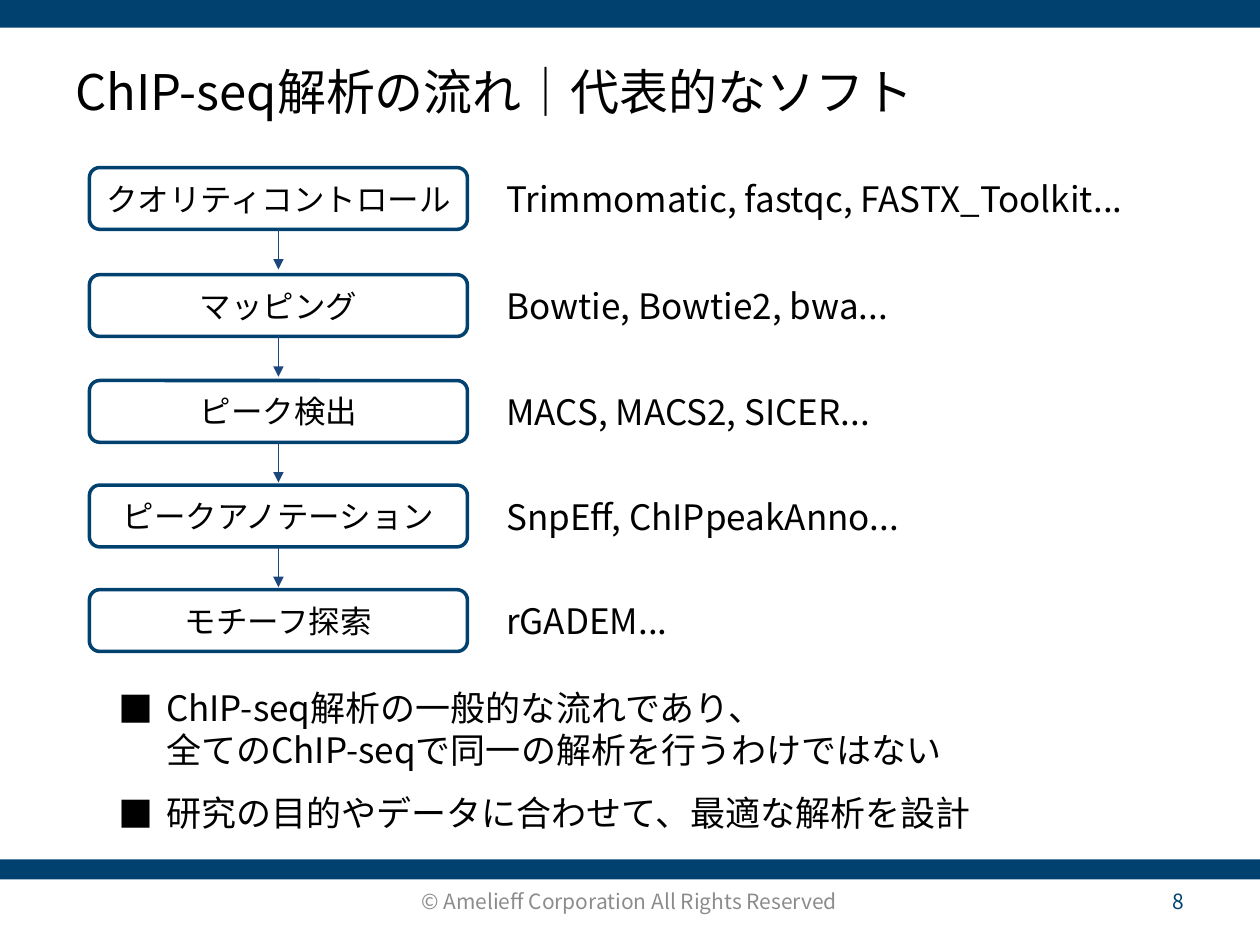
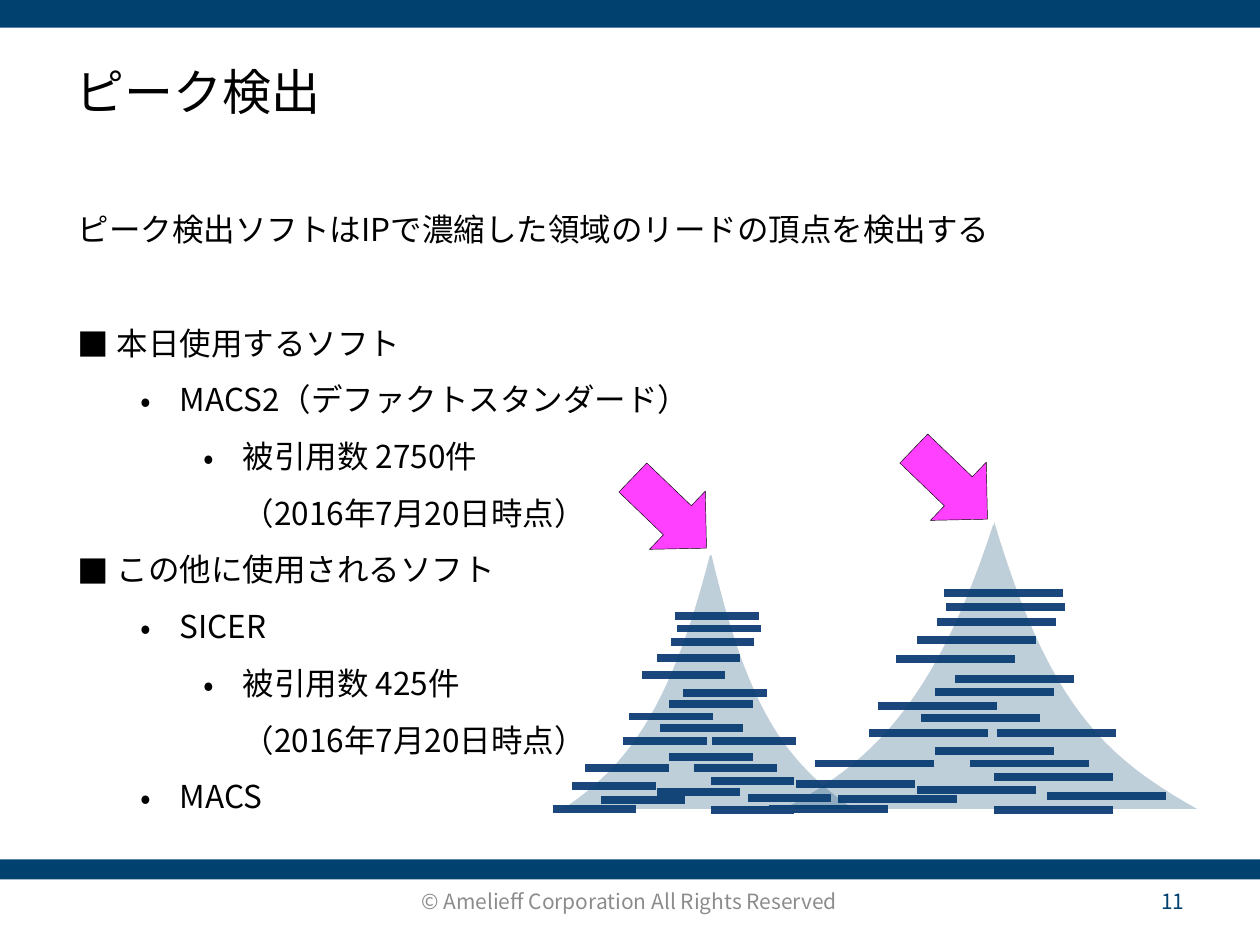
from dataclasses import dataclass

from lxml import etree
from pptx import Presentation
from pptx.dml.color import RGBColor
from pptx.enum import shapes, text
from pptx.oxml.ns import qn
from pptx.util import Pt

EMU_PER_PX = 9144  # 100 px to the inch


# Theme: colours, font and type sizes
@dataclass(frozen=True)
class Theme:
    font: str = "Noto Sans CJK JP"
    navy: str = "00416F"
    line: str = "1C477D"
    ink: str = "000000"
    grey: str = "8C8C8C"
    white: str = "FFFFFF"
    pink: str = "FF40FF"
    title: int = 28
    large: int = 20
    body: int = 18
    footer: int = 12


THEME = Theme()


@dataclass(frozen=True)
class Box:
    left: float
    top: float
    width: float
    height: float

    def emu(self) -> list[int]:
        return [px(v) for v in (self.left, self.top, self.width, self.height)]


@dataclass(frozen=True)
class Line:
    """One paragraph; a newline in the wording is a line break."""
    wording: str
    bullet: str = ""
    level: int = 0
    indent: int = 0
    hanging: int = 0
    spacing: float = 1.0
    before: float = 0


@dataclass(frozen=True)
class Step:
    name: str
    software: str
    top: int


@dataclass(frozen=True)
class Peak:
    box: Box
    arrow_head: Box
    arrow_halo: Box


def px(value: float) -> int:
    return round(value * EMU_PER_PX)


def rgb(colour: str) -> RGBColor:
    return RGBColor.from_string(colour)


# Text
def add_run(paragraph, wording: str, size: int, colour: str) -> None:
    run = paragraph.add_run()
    run.text = wording
    run.font.size = Pt(size)
    run.font.color.rgb = rgb(colour)
    run.font.name = THEME.font
    etree.SubElement(run.font._element, qn("a:ea"), typeface=THEME.font)


def set_bullet(paragraph, line: Line) -> None:
    properties = paragraph._p.get_or_add_pPr()
    properties.set("marL", str(px(line.indent)))
    properties.set("indent", str(-px(line.hanging)))
    etree.SubElement(properties, qn("a:buFont"), typeface=THEME.font)
    etree.SubElement(properties, qn("a:buChar"), char=line.bullet)


def write(frame, lines: list[Line], size: int, colour: str = THEME.ink,
          align=text.PP_ALIGN.LEFT, anchor=text.MSO_ANCHOR.TOP) -> None:
    frame.vertical_anchor = anchor
    for number, line in enumerate(lines):
        paragraph = frame.add_paragraph() if number else frame.paragraphs[0]
        if line.bullet:
            set_bullet(paragraph, line)
        paragraph.level = line.level
        paragraph.alignment = align
        paragraph.line_spacing = line.spacing
        if line.before:
            paragraph.space_before = Pt(line.before)
        for part, wording in enumerate(line.wording.split("\n")):
            if part:
                paragraph.add_line_break()
            add_run(paragraph, wording, size, colour)


def add_text(slide, box: Box, lines: list[Line], size: int, **style) -> None:
    frame = slide.shapes.add_textbox(*box.emu()).text_frame
    frame.word_wrap = True
    write(frame, lines, size, **style)


# Shapes and lines
def paint(shape, fill: str = "", line: str = "", width: float = 0) -> None:
    shape.shadow.inherit = False
    if fill:
        shape.fill.solid()
        shape.fill.fore_color.rgb = rgb(fill)
    else:
        shape.fill.background()
    if line:
        shape.line.color.rgb = rgb(line)
        shape.line.width = Pt(width)
    else:
        shape.line.fill.background()


def add_shape(slide, kind, box: Box, **style):
    shape = slide.shapes.add_shape(kind, *box.emu())
    paint(shape, **style)
    return shape


def add_line(slide, start: tuple, end: tuple, width: float, arrow: bool = False) -> None:
    connector = slide.shapes.add_connector(
        shapes.MSO_CONNECTOR.STRAIGHT, *map(px, start + end))
    connector.line.color.rgb = rgb(THEME.line)
    connector.line.width = Pt(width)
    if arrow:
        etree.SubElement(connector.line._get_or_add_ln(), qn("a:tailEnd"), type="triangle")
    etree.SubElement(connector._element.spPr, qn("a:effectLst"))


# Frame shared by the slides
def add_slide(presentation, title: str, number: int):
    slide = presentation.slides.add_slide(presentation.slide_layouts[6])
    middle = text.MSO_ANCHOR.MIDDLE
    for band in (Box(0, 682, 1000, 16), Box(0, 0, 1000, 22)):
        add_shape(slide, shapes.MSO_SHAPE.RECTANGLE, band, fill=THEME.navy)
    add_text(slide, Box(287, 695, 425, 40),
             [Line("© Amelieff Corporation All Rights Reserved")], THEME.footer,
             colour=THEME.grey, align=text.PP_ALIGN.CENTER, anchor=middle)
    add_text(slide, Box(717, 695, 233, 40), [Line(str(number))], THEME.footer,
             colour=THEME.navy, align=text.PP_ALIGN.RIGHT, anchor=middle)
    add_text(slide, Box(50, 30, 900, 85), [Line(title)], THEME.title, anchor=middle)
    return slide


# Workflow slide
STEPS = [
    Step("クオリティコントロール", "Trimmomatic, fastqc, FASTX_Toolkit...", 133),
    Step("マッピング", "Bowtie, Bowtie2, bwa...", 218),
    Step("ピーク検出", "MACS, MACS2, SICER...", 302),
    Step("ピークアノテーション", "SnpEff, ChIPpeakAnno...", 385),
    Step("モチーフ探索", "rGADEM...", 468),
]
STEP_LEFT, STEP_WIDTH, STEP_HEIGHT, ARROW_LENGTH = 71, 300, 49, 32


def add_step(slide, step: Step, is_last: bool) -> None:
    box = Box(STEP_LEFT, step.top, STEP_WIDTH, STEP_HEIGHT)
    shape = add_shape(slide, shapes.MSO_SHAPE.ROUNDED_RECTANGLE, box,
                      line=THEME.navy, width=2)
    shape.text_frame.word_wrap = False
    write(shape.text_frame, [Line(step.name)], THEME.body,
          align=text.PP_ALIGN.CENTER, anchor=text.MSO_ANCHOR.MIDDLE)
    add_text(slide, Box(392, step.top + 3, 548, 44), [Line(step.software)], THEME.large)
    if not is_last:
        centre, bottom = STEP_LEFT + STEP_WIDTH / 2, step.top + STEP_HEIGHT
        add_line(slide, (centre, bottom), (centre, bottom + ARROW_LENGTH), 0.75, arrow=True)


def build_workflow(presentation) -> None:
    slide = add_slide(presentation, "ChIP-seq解析の流れ｜代表的なソフト", 8)
    for step in STEPS:
        add_step(slide, step, step is STEPS[-1])
    add_text(slide, Box(84, 540, 833, 128), [
        Line("ChIP-seq解析の一般的な流れであり、\n全てのChIP-seqで同一の解析を行うわけではない",
             "■", 0, 38, 38),
        Line("研究の目的やデータに合わせて、最適な解析を設計", "■", 0, 38, 38, 1.5),
    ], THEME.large)


# Peak slide: one pile of reads, drawn in a 328 x 228 px frame and scaled
PILE_WIDTH, PILE_HEIGHT, READ_LENGTH = 328, 228, 94.5
READS = [
    (89, 109), (75, 146), (120, 135), (68, 168), (109, 156), (120, 182), (148, 192),
    (167, 203), (136, 125), (43, 220), (209, 218), (167, 229), (10, 208), (25, 192),
    (106, 94), (122, 80), (169, 168), (106, 213), (-12, 228), (129, 68), (127, 57),
]
SLOPES = [
    ((0, 228), (66, 193), (120, 147), (167, 0)),
    ((167, 0), (210, 144), (253, 186), (328, 228)),
]
CURVE_STEPS = 24
PEAKS = [
    Peak(Box(622, 414, 328, 228), Box(714, 352, 81, 64), Box(708, 339, 94, 90)),
    Peak(Box(447, 438, 230, 204), Box(491, 375, 81, 64), Box(486, 363, 94, 90)),
]
ARROW_TURN = 223.8


def bezier(points: tuple, t: float) -> tuple[float, float]:
    weights = ((1 - t) ** 3, 3 * t * (1 - t) ** 2, 3 * t ** 2 * (1 - t), t ** 3)
    x, y = (sum(w * p[axis] for w, p in zip(weights, points)) for axis in (0, 1))
    return x, y


def add_peak(slide, peak: Peak) -> None:
    box = peak.box

    def place(x: float, y: float) -> tuple[float, float]:
        return (box.left + x * box.width / PILE_WIDTH,
                box.top + y * box.height / PILE_HEIGHT)

    for x, y in READS:
        add_line(slide, place(x, y), place(x + READ_LENGTH, y), 4.5)
    outline = [tuple(map(px, place(*bezier(slope, i / CURVE_STEPS))))
               for slope in SLOPES for i in range(CURVE_STEPS + 1)]
    builder = slide.shapes.build_freeform(*outline[0])
    builder.add_line_segments(outline[1:], close=True)
    hill = builder.convert_to_shape()
    paint(hill, fill=THEME.navy)
    colour = hill._element.spPr.find(qn("a:solidFill"))[0]
    etree.SubElement(colour, qn("a:alpha"), val="25000")


def add_pointer(slide, peak: Peak) -> None:
    kind = shapes.MSO_SHAPE.LEFT_ARROW
    halo = add_shape(slide, kind, peak.arrow_halo, fill=THEME.white)
    head = add_shape(slide, kind, peak.arrow_head, fill=THEME.pink,
                     line=THEME.ink, width=0.25)
    halo.rotation = head.rotation = ARROW_TURN


def outline_item(wording: str, level: int, before: float = 0) -> Line:
    return Line(wording, "•" if level else "■", level, 31 + 50 * level, 31, 1.5, before)


def build_peak_detection(presentation) -> None:
    slide = add_slide(presentation, "ピーク検出", 11)
    add_text(slide, Box(52, 147, 850, 510), [
        Line("ピーク検出ソフトはIPで濃縮した領域のリードの頂点を検出する", spacing=1.5),
        outline_item("本日使用するソフト", 0, before=32.4),
        outline_item("MACS2（デファクトスタンダード）", 1),
        outline_item("被引用数 2750件\n（2016年7月20日時点）", 2),
        outline_item("この他に使用されるソフト", 0),
        outline_item("SICER", 1),
        outline_item("被引用数 425件\n（2016年7月20日時点）", 2),
        outline_item("MACS", 1),
    ], THEME.body)
    for peak in PEAKS:
        add_peak(slide, peak)
    for peak in PEAKS:
        add_pointer(slide, peak)


def main() -> None:
    presentation = Presentation()
    presentation.slide_width, presentation.slide_height = px(1000), px(750)
    build_workflow(presentation)
    build_peak_detection(presentation)
    presentation.save("out.pptx")


if __name__ == "__main__":
    main()
